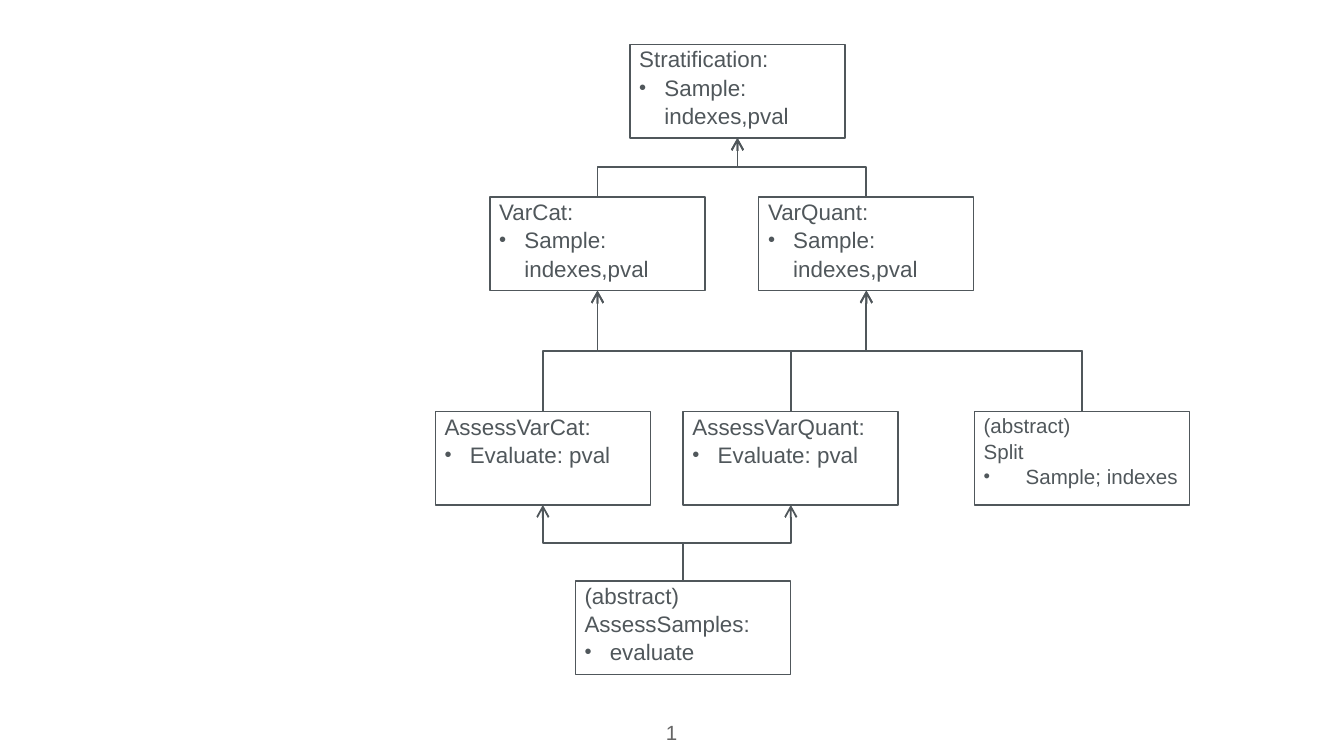
from lxml import etree
from pptx import Presentation
from pptx.dml.color import RGBColor
from pptx.enum.shapes import MSO_CONNECTOR, MSO_SHAPE
from pptx.enum.text import MSO_ANCHOR, PP_ALIGN
from pptx.oxml.ns import qn
from pptx.util import Pt

RECTANGLE = MSO_SHAPE.RECTANGLE
ELBOW = MSO_CONNECTOR.ELBOW
TOP = MSO_ANCHOR.TOP
LEFT, CENTER = PP_ALIGN.LEFT, PP_ALIGN.CENTER

INK, GRAY = "50575B", "666666"
BOX_WIDTH, BOX_HEIGHT = 115.2, 50.2
TOP_SITE, BOTTOM_SITE = 0, 2
ROWS = {"base": 23.7, "variable": 105.5, "assess": 220.4, "samples": 311.2}

# name: left, row, text size, bullet indent, headings, bullet text
CLASSES = {
    "Stratification": (337.5, "base", 12, 13.5, ["Stratification:"], "Sample: indexes,pval"),
    "VarCat": (262.5, "variable", 12, 13.5, ["VarCat:"], "Sample: indexes,pval"),
    "VarQuant": (406.5, "variable", 12, 13.5, ["VarQuant:"], "Sample: indexes,pval"),
    "AssessVarCat": (233.2, "assess", 12, 13.5, ["AssessVarCat:"], "Evaluate: pval"),
    "AssessVarQuant": (366, "assess", 12, 13.5, ["AssessVarQuant:"], "Evaluate: pval"),
    "Split": (522, "assess", 11, 22.5, ["(abstract)", "Split"], "Sample; indexes"),
    "AssessSamples": (308.2, "samples", 12, 13.5, ["(abstract)", "AssessSamples:"], "evaluate"),
}

# child: parents
INHERITANCE = {
    "VarCat": ["Stratification"],
    "VarQuant": ["Stratification"],
    "AssessVarCat": ["VarCat"],
    "AssessVarQuant": ["VarQuant"],
    "Split": ["VarCat", "VarQuant"],
    "AssessSamples": ["AssessVarCat", "AssessVarQuant"],
}


def color(value):
    return RGBColor.from_string(value)


def apply(target, formats):
    for name, value in formats.items():
        setattr(target, name, value)


def set_frame(frame, side, wrap):
    apply(frame, {
        "margin_left": Pt(side), "margin_right": Pt(side),
        "margin_top": 0, "margin_bottom": 0,
        "word_wrap": wrap, "vertical_anchor": TOP,
    })


def write(para, text, size, ink, align=LEFT):
    apply(para, {"alignment": align, "line_spacing": 1.05})
    span = para.add_run()
    span.text = text
    apply(span.font, {"name": "Arial", "size": Pt(size)})
    span.font.color.rgb = color(ink)


def add_bullet(para, indent):
    settings = para._p.get_or_add_pPr()
    settings.set("marL", str(Pt(indent)))
    settings.set("indent", str(-Pt(indent)))
    etree.SubElement(settings, qn("a:buSzPct")).set("val", "90000")
    etree.SubElement(settings, qn("a:buFont")).set("typeface", "Arial")
    etree.SubElement(settings, qn("a:buChar")).set("char", "•")


def add_class(page, left, row, size, indent, headings, bullet):
    box = page.shapes.add_shape(
        RECTANGLE, Pt(left), Pt(ROWS[row]), Pt(BOX_WIDTH), Pt(BOX_HEIGHT))
    box.shadow.inherit = False
    box.fill.background()
    box.line.color.rgb = color(INK)
    box.line.width = Pt(0.75)
    frame = box.text_frame
    set_frame(frame, 5, True)
    for index, text in enumerate([*headings, bullet]):
        para = frame.add_paragraph() if index else frame.paragraphs[0]
        write(para, text, size, INK)
    add_bullet(para, indent)
    return box


def add_inheritance(page, child, parent):
    start_x, start_y = child.left + child.width // 2, child.top
    end_x, end_y = parent.left + parent.width // 2, parent.top + parent.height
    arrow = page.shapes.add_connector(ELBOW, start_x, start_y, end_x, end_y)
    arrow.begin_connect(child, TOP_SITE)
    arrow.end_connect(parent, BOTTOM_SITE)

    # Turn the elbow so that it leaves and arrives vertically
    rise, run = start_y - end_y, abs(end_x - start_x)
    apply(arrow, {
        "left": (start_x + end_x - rise) // 2, "top": (start_y + end_y - run) // 2,
        "width": rise, "height": run,
    })
    properties = arrow._element.spPr
    rightward = end_x > start_x
    turn = {
        "rot": "5400000" if rightward else "16200000",
        "flipH": "1" if rightward else "0",
        "flipV": "1",
    }
    for name, value in turn.items():
        properties.find(qn("a:xfrm")).set(name, value)

    arrow.line.color.rgb = color(INK)
    arrow.line.width = Pt(1)
    etree.SubElement(properties.find(qn("a:ln")), qn("a:tailEnd")).set("type", "arrow")
    etree.SubElement(properties, qn("a:effectLst"))


def add_page_number(page, number):
    box = page.shapes.add_textbox(Pt(329.2), Pt(385.2), Pt(61.2), Pt(14.4))
    set_frame(box.text_frame, 0, False)
    write(box.text_frame.paragraphs[0], number, 11, GRAY, CENTER)


def main():
    deck = Presentation()
    apply(deck, {"slide_width": Pt(720), "slide_height": Pt(405)})
    page = deck.slides.add_slide(deck.slide_layouts[6])

    # Class boxes
    boxes = {name: add_class(page, *details) for name, details in CLASSES.items()}

    # Inheritance arrows
    for child, parents in INHERITANCE.items():
        for parent in parents:
            add_inheritance(page, boxes[child], boxes[parent])

    add_page_number(page, "1")
    deck.save("out.pptx")


main()
